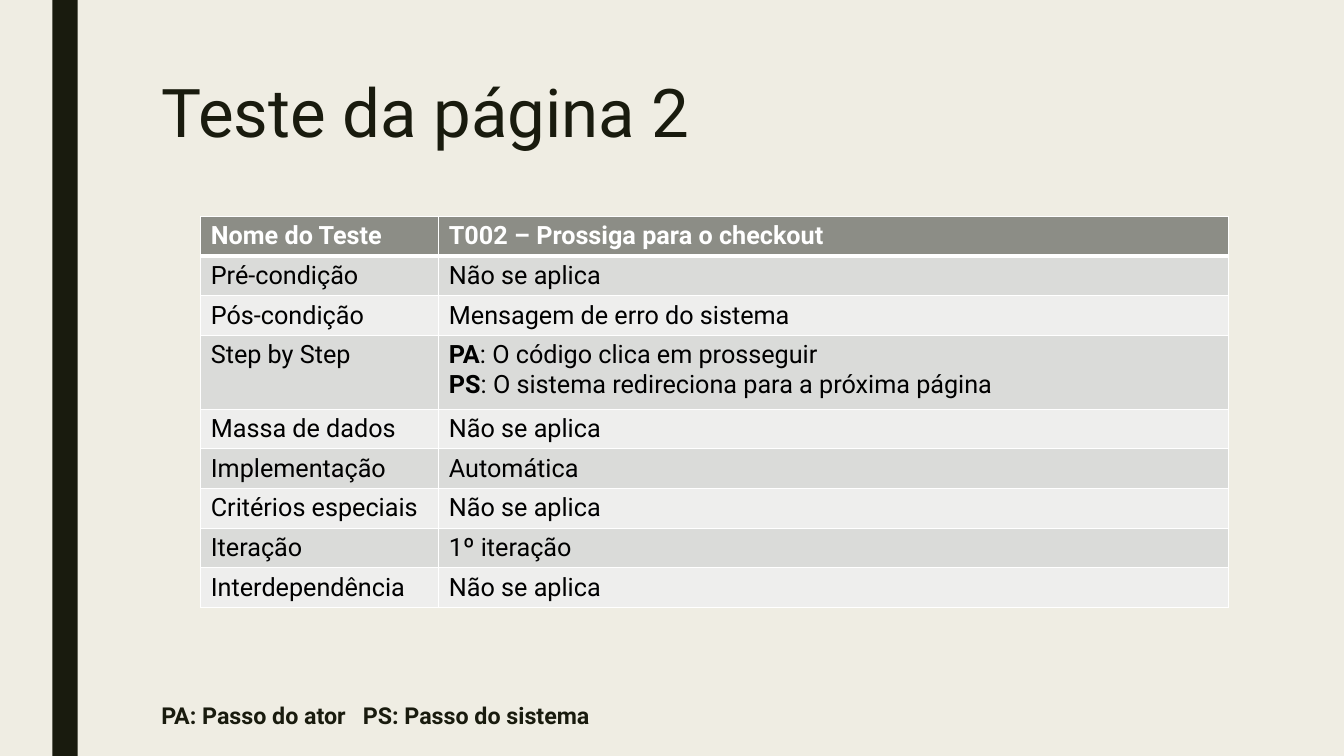
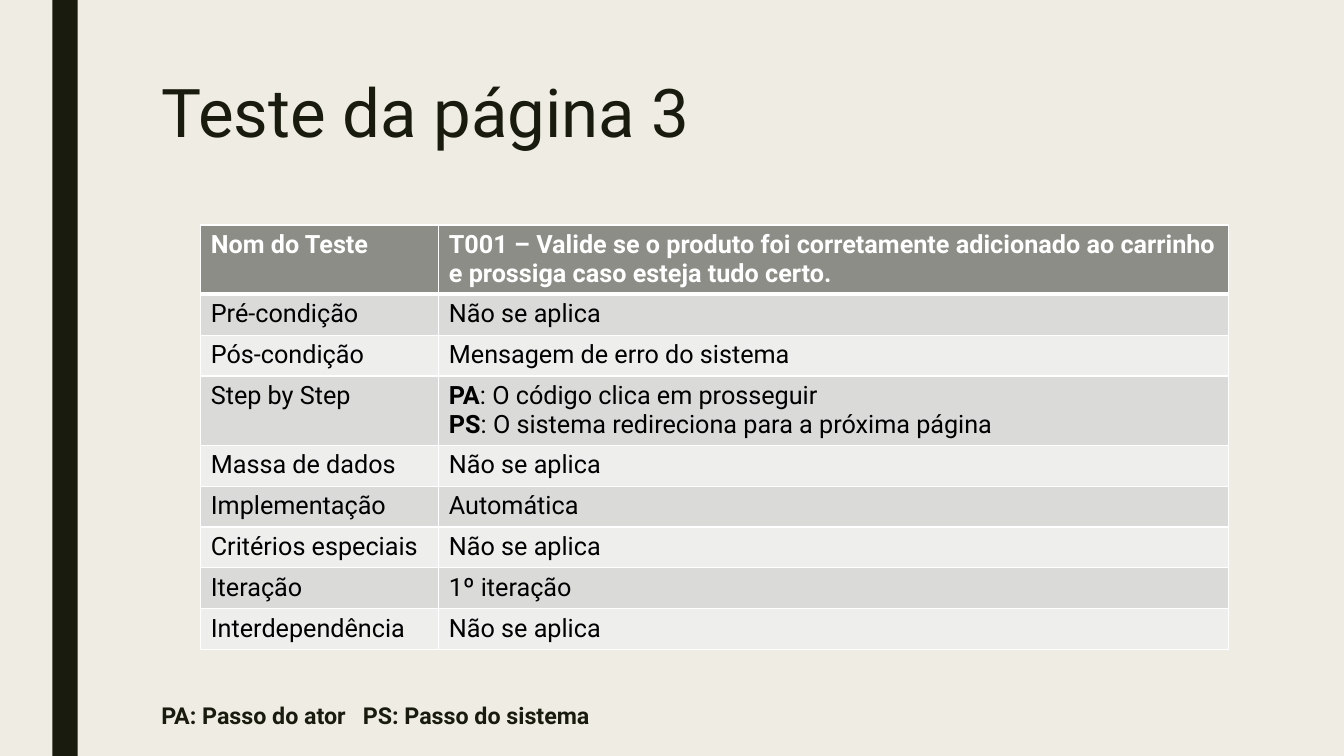
import pptx
import pptx.util
import pptx.dml.color
import pptx.enum.text
import pptx.enum.shapes
import pptx.oxml
import pptx.oxml.ns

Cm = pptx.util.Cm
Pt = pptx.util.Pt
ANCHOR = pptx.enum.text.MSO_ANCHOR
INK, PAPER, WHITE, BLACK = "191B0E", "EFEDE3", "FFFFFF", "000000"
HEADER, BANDS = "8C8D86", ("EEEEED", "DADBD9")


def paint(fill, color):
    fill.solid()
    fill.fore_color.rgb = pptx.dml.color.RGBColor.from_string(color)


def assign(target, values):
    for name, value in values.items():
        setattr(target, name, value)


def add_xml(parent, tag, content="", **attributes):
    listed = " ".join(f'{name}="{value}"' for name, value in attributes.items())
    namespace = pptx.oxml.ns.nsdecls("a")
    parent.append(pptx.oxml.parse_xml(f"<a:{tag} {namespace} {listed}>{content}</a:{tag}>"))


class TestDeck:
    font = "Roboto"

    def __init__(self):
        self.deck = pptx.Presentation()
        assign(self.deck, {"slide_width": Cm(33.87), "slide_height": Cm(19.05)})
        paint(self.deck.slide_master.background.fill, PAPER)
        self.slide = None

    def new_slide(self):
        self.slide = self.deck.slides.add_slide(self.deck.slide_layouts[1])

    def master_band(self):
        band = self.slide.shapes.add_shape(
            pptx.enum.shapes.MSO_SHAPE.RECTANGLE, Cm(1.32), 0, Cm(0.64), self.deck.slide_height)
        paint(band.fill, INK)
        band.line.fill.background()
        band.shadow.inherit = False
        band.element.nvSpPr.cNvPr.set("id", "20")
        self.deck.slide_master.shapes.element.insert(2, band.element)

    def add_text(self, paragraph, text, size, color, bold=False):
        run = paragraph.add_run()
        run.text = text
        assign(run.font, {"name": self.font, "size": Pt(size), "bold": bold})
        paint(run.font.fill, color)

    def fill_placeholder(self, holder, box, frame_format, paragraph_format, text, size, bold):
        assign(holder, dict(zip(("left", "top", "width", "height"), map(Cm, box))))
        assign(holder.text_frame, {
            "word_wrap": True, "auto_size": pptx.enum.text.MSO_AUTO_SIZE.NONE, **frame_format})
        paragraph = holder.text_frame.paragraphs[0]
        assign(paragraph, {"alignment": pptx.enum.text.PP_ALIGN.LEFT, **paragraph_format})
        self.add_text(paragraph, text, size, INK, bold)
        return paragraph

    def title(self, text):
        self.fill_placeholder(
            self.slide.shapes.title, (3.81, 1.9, 26.67, 4.12),
            {"vertical_anchor": ANCHOR.TOP}, {"line_spacing": 0.89}, text, 48, False)

    def legend(self, text):
        paragraph = self.fill_placeholder(
            self.slide.placeholders[1], (3.81, 4.39, 28.93, 14.66),
            {"vertical_anchor": ANCHOR.BOTTOM, "margin_bottom": Cm(0.7)},
            {"line_spacing": 0.74, "space_before": Pt(10), "space_after": Pt(2)},
            text, 16.6, True)
        properties = paragraph._p.get_or_add_pPr()
        properties.set("marL", "0")
        properties.set("indent", "0")
        add_xml(properties, "buNone")
        add_xml(properties, "tabLst", f'<a:tab pos="{Cm(6.14)}" algn="l"/>')

    def cell(self, cell, text, row):
        is_header = row == 0
        properties = cell._tc.get_or_add_tcPr()
        widths = {"lnL": 1, "lnR": 1, "lnT": 3 if row == 1 else 1, "lnB": 3 if is_header else 1}
        for side, width in widths.items():
            add_xml(properties, side,
                    f'<a:solidFill><a:srgbClr val="{WHITE}"/></a:solidFill>', w=Pt(width))
        paint(cell.fill, HEADER if is_header else BANDS[row % 2])
        for index, line in enumerate(text.split("\n")):
            frame = cell.text_frame
            paragraph = frame.add_paragraph() if index else frame.paragraphs[0]
            actor, colon, step = line.partition(":")
            color = WHITE if is_header else BLACK
            self.add_text(paragraph, actor, 18, color, is_header or bool(colon))
            if colon:
                self.add_text(paragraph, colon + step, 18, color)

    def table(self, rows, top, heights):
        widths = (6, 19.89)
        grid = self.slide.shapes.add_table(
            len(rows), len(widths), Cm(5.06), Cm(top), Cm(sum(widths)), Cm(sum(heights))).table
        grid.horz_banding = False
        for column, width in zip(grid.columns, widths):
            column.width = Cm(width)
        for row, (texts, height) in enumerate(zip(rows, heights)):
            grid.rows[row].height = Cm(height)
            for column, text in enumerate(texts):
                self.cell(grid.cell(row, column), text, row)


CONDITIONS = [
    ("Pré-condição", "Não se aplica"),
    ("Pós-condição", "Mensagem de erro do sistema"),
    ("Step by Step", "PA: O código clica em prosseguir\n"
                     "PS: O sistema redireciona para a próxima página"),
    ("Massa de dados", "Não se aplica"),
    ("Implementação", "Automática"),
    ("Critérios especiais", "Não se aplica"),
    ("Iteração", "1º iteração"),
    ("Interdependência", "Não se aplica"),
]
TESTS = [
    ("Teste da página 2", ("Nome do Teste", "T002 – Prossiga para o checkout"),
     5.45, [1] * 3 + [1.86] + [1] * 5),
    ("Teste da página 3",
     ("Nom do Teste", "T001 – Valide se o produto foi corretamente adicionado ao carrinho "
                      "e prossiga caso esteja tudo certo."),
     5.67, [1.03] * 9),
]

tests = TestDeck()
for page, (heading, test_name, top, heights) in enumerate(TESTS):
    tests.new_slide()
    if page == 0:
        tests.master_band()
    tests.title(heading)
    tests.legend("PA: Passo do ator\tPS: Passo do sistema")
    tests.table([test_name] + CONDITIONS, top, heights)
tests.deck.save("out.pptx")
